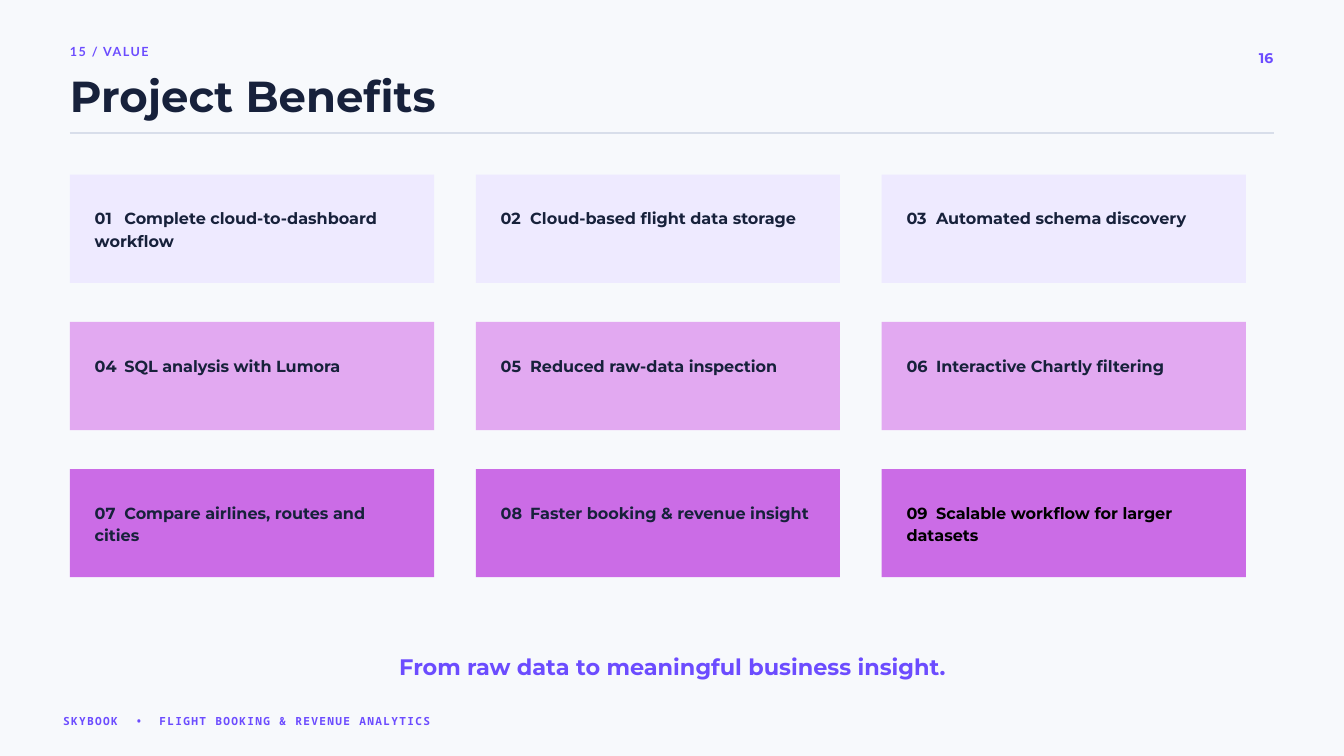
from lxml.etree import SubElement
from pptx import Presentation
from pptx.dml.color import RGBColor
from pptx.enum.shapes import MSO_CONNECTOR, MSO_SHAPE
from pptx.enum.text import MSO_ANCHOR, MSO_AUTO_SIZE, PP_ALIGN
from pptx.oxml.ns import qn
from pptx.util import Inches, Pt

COLORS = {
    "background": "F7F9FC",
    "ink": "17213B",
    "black": "000000",
    "accent": "6C4CFF",
    "rule": "D8DEEA",
    "lavender": "EEEAFF",
    "pink": "E2A9F1",
    "purple": "CB6CE6",
}


def rgb(name):
    return RGBColor.from_string(COLORS[name])


def write(box, text, *, size, leading, color="accent", font="Montserrat",
          align=PP_ALIGN.LEFT, spacing=0, tabs=()):
    """Fill a box with one bold paragraph; tabs are stops in inches."""
    frame = box.text_frame
    frame.word_wrap = True
    frame.auto_size = MSO_AUTO_SIZE.NONE
    frame.vertical_anchor = MSO_ANCHOR.TOP
    frame.margin_left = frame.margin_right = 0
    frame.margin_top = frame.margin_bottom = 0
    paragraph = frame.paragraphs[0]
    paragraph.alignment = align
    paragraph.line_spacing = Pt(leading)
    paragraph.space_before = Pt(0)
    if tabs:
        stops = SubElement(paragraph._p.get_or_add_pPr(), qn("a:tabLst"))
        for stop in tabs:
            SubElement(stops, qn("a:tab"), pos=str(Inches(stop)), algn="l")
    run = paragraph.add_run()
    run.text = text
    run.font.size = Pt(size)
    run.font.name = font
    run.font.bold = True
    run.font.color.rgb = rgb(color)
    if spacing:
        run._r.get_or_add_rPr().set("spc", str(int(spacing * 100)))


prs = Presentation()
prs.slide_width, prs.slide_height = Inches(20), Inches(11.25)
slide = prs.slides.add_slide(prs.slide_layouts[5])
slide.background.fill.solid()
slide.background.fill.fore_color.rgb = rgb("background")
shapes = slide.shapes
MARGIN = 1.04

# Header: section label, title, page number and rule
section = shapes.add_textbox(Inches(MARGIN), Inches(0.61), Inches(8.33), Inches(0.25))
write(section, "15 / VALUE", size=13.5, leading=18.9, font="Lato", spacing=1.6)

title = shapes.title
title.left, title.top = Inches(MARGIN), Inches(1.1)
title.width, title.height = Inches(15.62), Inches(0.7)
write(title, "Project Benefits", size=46.5, leading=50.2, color="ink")

page_number = shapes.add_textbox(Inches(18.12), Inches(0.69), Inches(0.83), Inches(0.29))
write(page_number, "16", size=15, leading=21, align=PP_ALIGN.RIGHT)

rule = shapes.add_connector(MSO_CONNECTOR.STRAIGHT, Inches(MARGIN), Inches(1.98),
                            Inches(20 - MARGIN), Inches(1.98))
rule.line.color.rgb = rgb("rule")
rule.line.width = Pt(1.5)
SubElement(rule._element.spPr, qn("a:effectLst"))

# Benefit cards: three rows of three, one fill per row
benefit_rows = [
    ("lavender", ["Complete cloud-to-dashboard workflow",
                  "Cloud-based flight data storage",
                  "Automated schema discovery"]),
    ("pink", ["SQL analysis with Lumora",
              "Reduced raw-data inspection",
              "Interactive Chartly filtering"]),
    ("purple", ["Compare airlines, routes and cities",
                "Faster booking & revenue insight",
                "Scalable workflow for larger datasets"]),
]
for row, (fill, benefits) in enumerate(benefit_rows):
    for column, benefit in enumerate(benefits):
        left, top = MARGIN + 6.04 * column, 2.6 + 2.19 * row
        number = 3 * row + column + 1
        card = shapes.add_shape(MSO_SHAPE.RECTANGLE, Inches(left), Inches(top),
                                Inches(5.42), Inches(1.61))
        card.shadow.inherit = False
        card.fill.solid()
        card.fill.fore_color.rgb = rgb(fill)
        card.line.fill.background()
        label = shapes.add_textbox(Inches(left + 0.37), Inches(top + 0.46),
                                   Inches(4.69), Inches(0.66))
        write(label, f"{number:02d}\t{benefit}", size=17.2, leading=24.1,
              color="black" if number == 9 else "ink", tabs=[0.44])

# Closing message and footer
message = shapes.add_textbox(Inches(4.38), Inches(9.65), Inches(11.25), Inches(0.43))
write(message, "From raw data to meaningful business insight.", size=24,
      leading=33.6, align=PP_ALIGN.CENTER)

footer = shapes.add_textbox(Inches(0.94), Inches(10.6), Inches(9.38), Inches(0.22))
write(footer, "SKYBOOK\t•\tFLIGHT BOOKING & REVENUE ANALYTICS", size=12,
      leading=16.8, font="Noto Sans Mono", spacing=1.4, tabs=[1.08, 1.43])

prs.save("out.pptx")
